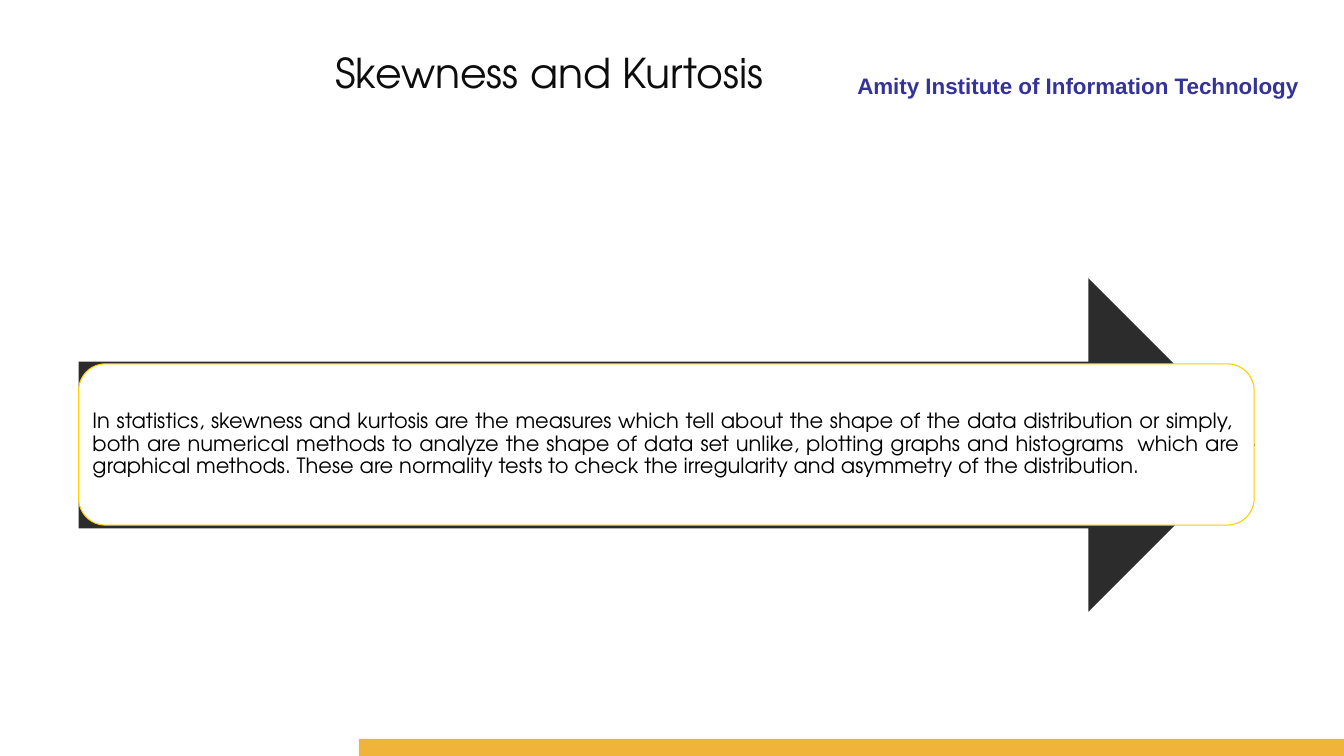
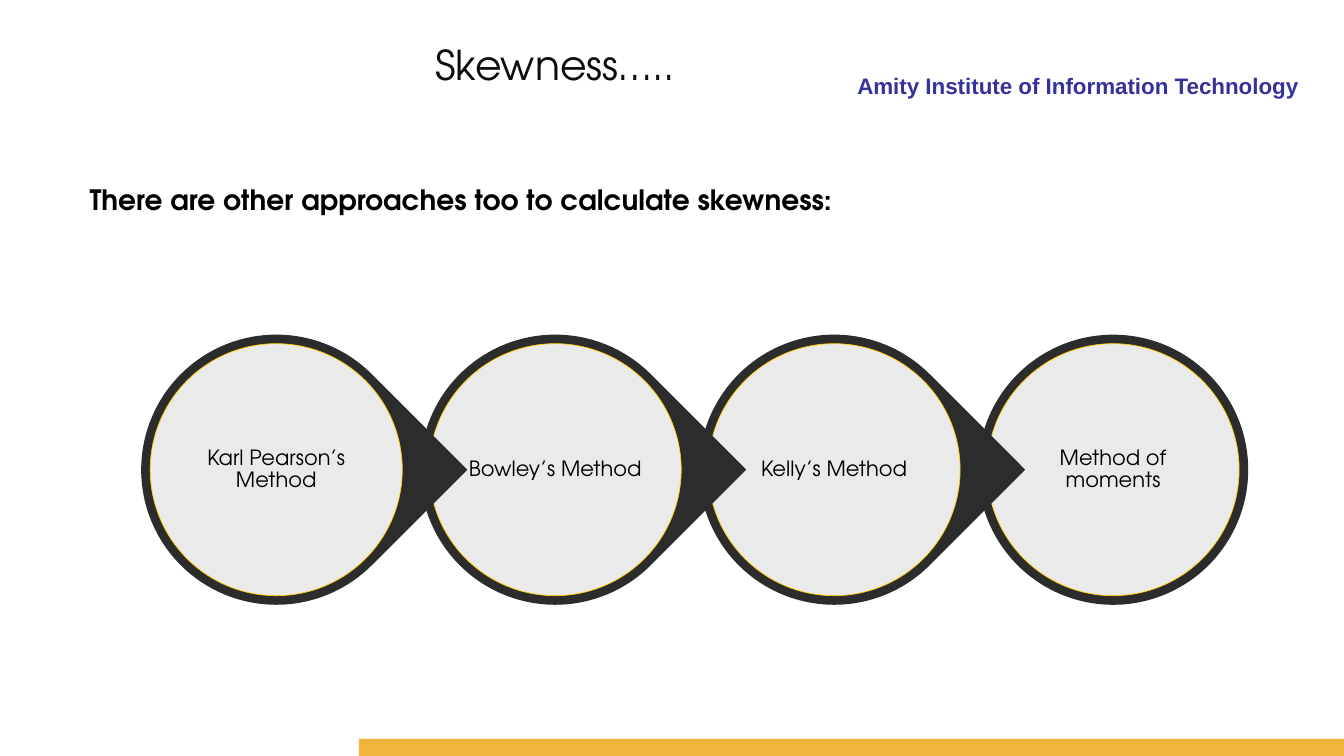
import pptx
import pptx.util
import pptx.dml.color
import pptx.enum.shapes
import pptx.enum.text
import pptx.oxml.ns
import lxml.etree
from dataclasses import dataclass

Inches = pptx.util.Inches
SHAPE = pptx.enum.shapes.MSO_SHAPE
ALIGN = pptx.enum.text.PP_ALIGN
ANCHOR = pptx.enum.text.MSO_ANCHOR


@dataclass(frozen=True)
class Theme:
    institute: str = "333399"
    band: str = "F1B43B"
    dark: str = "2C2C2C"
    panel: str = "FFFFFF"
    outline: str = "FFCC01"
    title: str = "0D0D0D"
    body: str = "000000"
    font: str = "TeX Gyre Adventor"
    institute_font: str = "Arial"
    title_size: float = 29.3
    lead_size: float = 20
    institute_size: float = 16
    body_size: float = 15


theme = Theme()


def add_block(slide, kind, box, fill, outline=None, weight=0):
    block = slide.shapes.add_shape(kind, *map(Inches, box))
    block.shadow.inherit = False
    block.fill.solid()
    block.fill.fore_color.rgb = pptx.dml.color.RGBColor.from_string(fill)
    if outline:
        block.line.color.rgb = pptx.dml.color.RGBColor.from_string(outline)
        block.line.width = pptx.util.Pt(weight)
    else:
        block.line.fill.background()
    return block


def write(shape, text, size, color, align=ALIGN.LEFT, font=theme.font,
          bold=False, wrap=True, spacing=None, inset=None, anchor=ANCHOR.TOP):
    frame = shape.text_frame
    frame.word_wrap = wrap
    frame.vertical_anchor = anchor
    if inset is not None:
        frame.margin_left = frame.margin_right = Inches(inset)
        frame.margin_top = frame.margin_bottom = Inches(inset)
    paragraph = frame.paragraphs[0]
    paragraph.text = text
    paragraph.alignment = align
    paragraph.line_spacing = spacing
    paragraph.font.name = font
    paragraph.font.size = pptx.util.Pt(size)
    paragraph.font.bold = bold
    paragraph.font.color.rgb = pptx.dml.color.RGBColor.from_string(color)


deck = pptx.Presentation()
deck.slide_width = Inches(13.33)
deck.slide_height = Inches(7.5)

# Institute name, bottom band and title on every slide
titles = [
    ("Skewness and Kurtosis", (3.23, 0.42, 4.53, 0.59)),
    ("Skewness…..", (4.22, 0.34, 2.7, 0.59)),
]
slides = []
for title, title_box in titles:
    slide = deck.slides.add_slide(deck.slide_layouts[6])
    institute = slide.shapes.add_textbox(*map(Inches, (5.09, 0.67, 7.89, 0.33)))
    write(institute, "Amity Institute of Information Technology",
          theme.institute_size, theme.institute, ALIGN.RIGHT,
          theme.institute_font, bold=True)
    add_block(slide, SHAPE.RECTANGLE, (3.56, 7.33, 9.77, 0.17), theme.band)
    heading = slide.shapes.add_textbox(*map(Inches, title_box))
    write(heading, title, theme.title_size, theme.title, wrap=False)
    slides.append(slide)
overview, methods = slides

# Slide 1: definition on an arrow
add_block(overview, SHAPE.RIGHT_ARROW, (0.78, 2.76, 11.67, 3.31), theme.dark)
definition = add_block(overview, SHAPE.ROUNDED_RECTANGLE, (0.78, 3.61, 11.66, 1.6),
                       theme.panel, theme.outline, 0.75)
write(definition,
      "In statistics, skewness and kurtosis are the measures which tell about "
      "the shape of the data distribution or simply,  both are numerical methods "
      "to analyze the shape of data set unlike, plotting graphs and histograms  "
      "which are graphical methods. These are normality tests to check the "
      "irregularity and asymmetry of the distribution.",
      theme.body_size, theme.body, ALIGN.JUSTIFY, spacing=0.9, inset=0.06,
      anchor=ANCHOR.MIDDLE)

# Slide 2: lead sentence
lead = methods.shapes.add_textbox(*map(Inches, (0.79, 1.76, 11.65, 0.44)))
write(lead, "There are other approaches too to calculate skewness:",
      theme.lead_size, theme.body, ALIGN.JUSTIFY, bold=True)

# Slide 2: chain of methods, last one first so each tip overlaps the next circle
method_names = ["Karl Pearson’s Method", "Bowley’s Method", "Kelly’s Method",
                "Method of moments"]
first_left, last_left, top = 1.4, 9.7, 3.32
drop_size, rim = 2.68, 0.09
last = len(method_names) - 1
pitch = (last_left - first_left) / last
disc_size = drop_size - 2 * rim
for index in range(last, -1, -1):
    left = first_left + index * pitch
    drop = add_block(methods, SHAPE.OVAL if index == last else SHAPE.TEAR,
                     (left, top, drop_size, drop_size), theme.dark)
    if index < last:
        drop.adjustments[0] = 1
        drop.rotation = 45
    disc = add_block(methods, SHAPE.OVAL,
                     (left + rim, top + rim, disc_size, disc_size),
                     theme.panel, theme.outline, 0.5)
    # 90 % opaque fill
    disc_color = disc.fill._xPr.find(".//" + pptx.oxml.ns.qn("a:srgbClr"))
    lxml.etree.SubElement(disc_color, pptx.oxml.ns.qn("a:alpha"), val="90000")
    write(disc, method_names[index], theme.body_size, theme.body, ALIGN.CENTER,
          spacing=0.9, inset=0.02, anchor=ANCHOR.MIDDLE)

deck.save("out.pptx")
